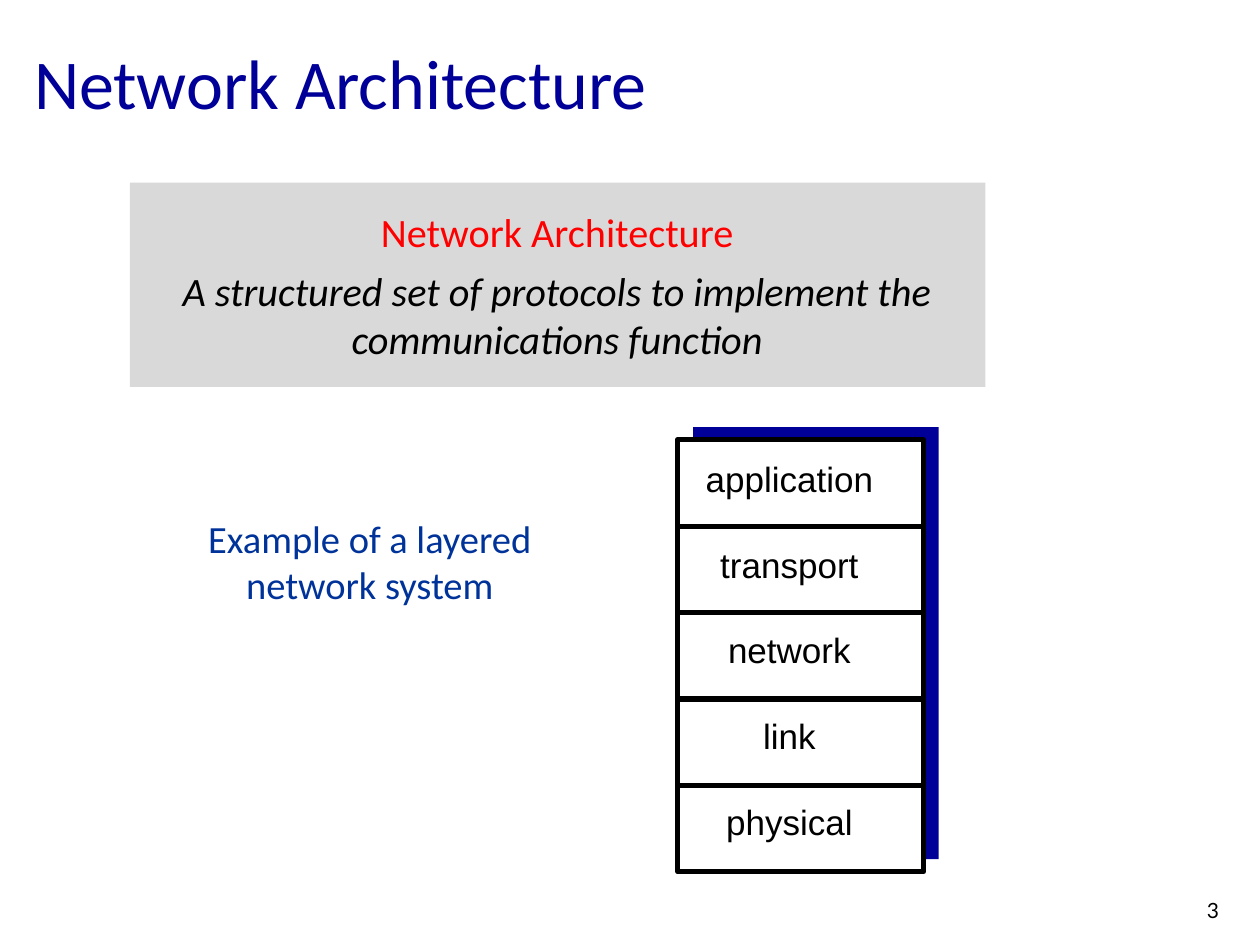
"""Build a slide that defines network architecture and shows a five-layer stack."""
from lxml import etree
from pptx import Presentation
from pptx.dml.color import RGBColor
from pptx.enum.shapes import MSO_CONNECTOR, MSO_SHAPE
from pptx.enum.text import MSO_ANCHOR, PP_ALIGN
from pptx.oxml.ns import qn
from pptx.util import Inches, Pt

LEFT, CENTER = PP_ALIGN.LEFT, PP_ALIGN.CENTER
TOP, MIDDLE = MSO_ANCHOR.TOP, MSO_ANCHOR.MIDDLE
RECTANGLE, STRAIGHT = MSO_SHAPE.RECTANGLE, MSO_CONNECTOR.STRAIGHT

NAVY = RGBColor(0x00, 0x00, 0x99)
BLUE = RGBColor(0x00, 0x33, 0x99)
RED = RGBColor(0xFF, 0x00, 0x00)
GRAY = RGBColor(0xD9, 0xD9, 0xD9)
BLACK = RGBColor(0x00, 0x00, 0x00)
WHITE = RGBColor(0xFF, 0xFF, 0xFF)

TITLE = "Network Architecture"
DEFINITION = "A structured set of protocols to implement the communications function"
CAPTION = "Example of a layered network system"
LAYERS = ["application", "transport", "network", "link", "physical"]
PAGE_NUMBER = "3"

SLIDE_W, SLIDE_H = 10, 7.5
STACK_X, STACK_Y, STACK_W, STACK_H = 5.38, 3.49, 1.95, 3.43
SHADE_DX, SHADE_DY = 0.12, -0.1
BORDER = Pt(3)


def box(*lengths):
    return [Inches(length) for length in lengths]


def write(frame, text, size=20, font="Calibri", color=BLACK, align=LEFT,
          anchor=TOP, italic=False, before=0, wrap=True, add=False):
    frame.word_wrap = wrap
    frame.vertical_anchor = anchor
    paragraph = frame.add_paragraph() if add else frame.paragraphs[0]
    paragraph.alignment = align
    paragraph.space_before = Pt(before)
    run = paragraph.add_run()
    run.text = text
    run.font.size = Pt(size)
    run.font.name = font
    run.font.italic = italic
    run.font.color.rgb = color


def add_panel(shapes, place, fill, bordered=False):
    panel = shapes.add_shape(RECTANGLE, *box(*place))
    panel.shadow.inherit = False
    panel.fill.solid()
    panel.fill.fore_color.rgb = fill
    if bordered:
        panel.line.color.rgb = BLACK
        panel.line.width = BORDER
    else:
        panel.line.fill.background()
    return panel


def add_divider(shapes, y):
    divider = shapes.add_connector(STRAIGHT, *box(STACK_X, y, STACK_X + STACK_W, y))
    divider.line.color.rgb = BLACK
    divider.line.width = BORDER
    etree.SubElement(divider._element.spPr, qn("a:effectLst"))


def add_stack(shapes):
    add_panel(shapes, (STACK_X + SHADE_DX, STACK_Y + SHADE_DY, STACK_W, STACK_H), NAVY)
    add_panel(shapes, (STACK_X, STACK_Y, STACK_W, STACK_H), WHITE, bordered=True)
    names = shapes.add_textbox(*box(5.49, 3.58, 1.55, 3.13)).text_frame
    for index, layer in enumerate(LAYERS):
        write(names, layer, font="Arial", align=CENTER, wrap=False,
              before=25 if index else 0, add=index > 0)
    for row in range(1, len(LAYERS)):
        add_divider(shapes, STACK_Y + row * STACK_H / len(LAYERS))


def main():
    deck = Presentation()
    deck.slide_width, deck.slide_height = box(SLIDE_W, SLIDE_H)
    slide = deck.slides.add_slide(deck.slide_layouts[5])
    shapes = slide.shapes

    caption = shapes.add_textbox(*box(1.52, 4.04, 2.83, 0.84))
    write(caption.text_frame, CAPTION, size=22, color=BLUE, align=CENTER)

    title = shapes.title
    title.left, title.top, title.width, title.height = box(0.17, 0.19, 9.49, 0.91)
    write(title.text_frame, TITLE, size=40, color=NAVY, anchor=MIDDLE)

    definition = add_panel(shapes, (1.03, 1.45, 6.79, 1.62), GRAY).text_frame
    write(definition, TITLE, size=23, color=RED, align=CENTER, anchor=MIDDLE, before=6)
    write(definition, DEFINITION, size=23, align=CENTER, anchor=MIDDLE,
          italic=True, before=6, add=True)

    add_stack(shapes.add_group_shape().shapes)

    number = shapes.add_textbox(*box(9.48, 7.07, 0.5, 0.42))
    write(number.text_frame, PAGE_NUMBER, size=12, font="Lato")

    deck.save("out.pptx")


if __name__ == "__main__":
    main()
